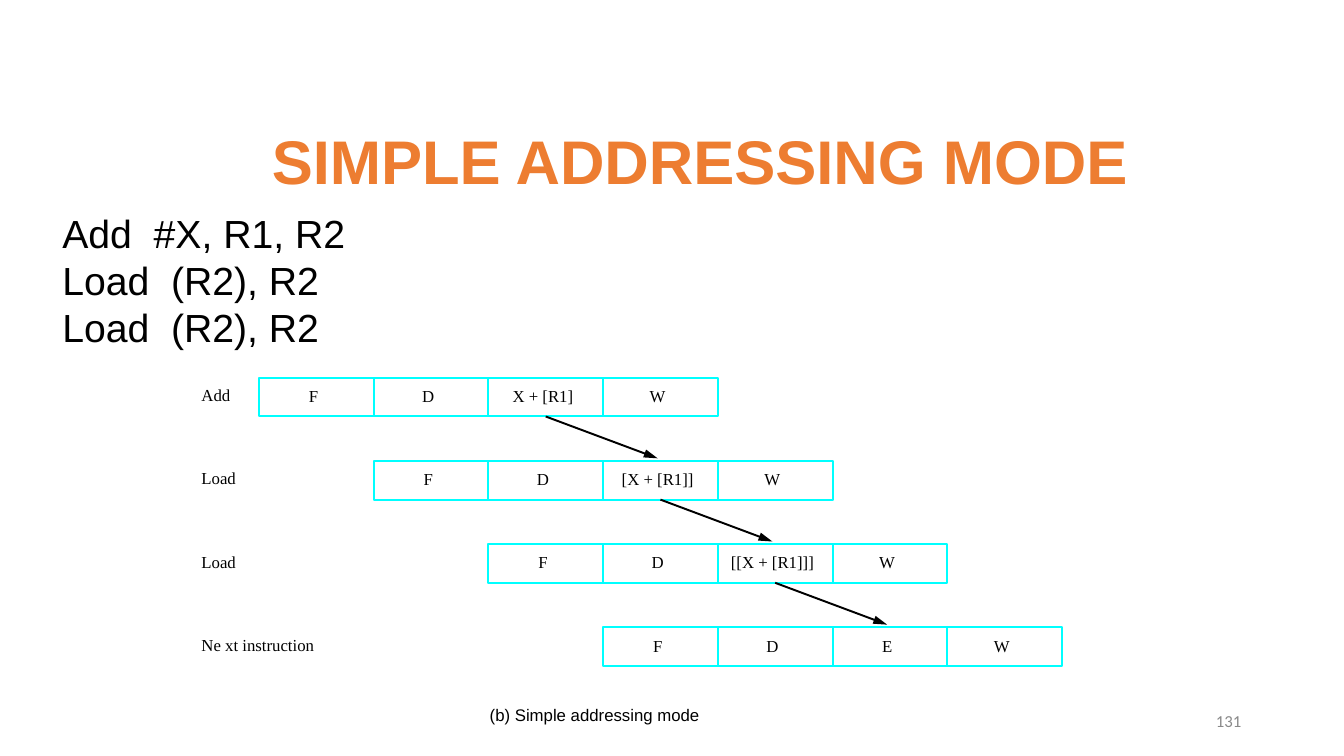
from lxml import etree
from pptx import Presentation
from pptx.dml.color import RGBColor
from pptx.enum.shapes import MSO_CONNECTOR, MSO_SHAPE
from pptx.enum.text import MSO_ANCHOR, PP_ALIGN
from pptx.oxml.ns import qn
from pptx.util import Pt

STRAIGHT = MSO_CONNECTOR.STRAIGHT
RECTANGLE = MSO_SHAPE.RECTANGLE
TOP, MIDDLE = MSO_ANCHOR.TOP, MSO_ANCHOR.MIDDLE
LEFT, CENTER, RIGHT = PP_ALIGN.LEFT, PP_ALIGN.CENTER, PP_ALIGN.RIGHT

ORANGE = RGBColor(0xED, 0x7D, 0x31)
BLACK = RGBColor(0, 0, 0)
GRAY = RGBColor(0x89, 0x89, 0x89)
CYAN = RGBColor(0, 0xFF, 0xFF)

SANS, SERIF, NUMBER_FONT = "Arial", "Times New Roman", "Calibri"

# Pipeline grid: each instruction starts one cycle after the previous one
GRID_LEFT, GRID_TOP = 185, 270
CYCLE_WIDTH, ROW_PITCH, STAGE_HEIGHT = 82, 59.4, 27.5
LABEL_LEFT = 144
LINE_WIDTH = 1.39
EXECUTE = 2  # index of the execute stage

PIPELINE = [
    ("Add", ["F", "D", "X + [R1]", "W"]),
    ("Load", ["F", "D", "[X + [R1]]", "W"]),
    ("Load", ["F", "D", "[[X + [R1]]]", "W"]),
    ("Ne xt instruction", ["F", "D", "E", "W"]),
]


def set_margins(frame, left, top, right, bottom):
    frame.margin_left, frame.margin_top = Pt(left), Pt(top)
    frame.margin_right, frame.margin_bottom = Pt(right), Pt(bottom)


def style_paragraphs(frame, size, font_name, color, bold=False, align=LEFT):
    for paragraph in frame.paragraphs:
        paragraph.alignment = align
        font = paragraph.font
        font.size, font.name, font.bold = Pt(size), font_name, bold
        font.color.rgb = color


def add_text(slide, box, text, size, font_name, color=BLACK, bold=False,
             align=LEFT, anchor=TOP, padded=True):
    frame = slide.shapes.add_textbox(*map(Pt, box)).text_frame
    frame.word_wrap = True
    frame.vertical_anchor = anchor
    if not padded:
        set_margins(frame, 0, 0, 0, 0)
    frame.text = text
    style_paragraphs(frame, size, font_name, color, bold, align)


def add_stage(slide, left, top, text):
    stage = slide.shapes.add_shape(
        RECTANGLE, Pt(left), Pt(top), Pt(CYCLE_WIDTH), Pt(STAGE_HEIGHT))
    stage.shadow.inherit = False
    stage.fill.background()
    stage.line.color.rgb = CYAN
    stage.line.width = Pt(LINE_WIDTH)
    frame = stage.text_frame
    frame.word_wrap = False
    frame.vertical_anchor = MIDDLE
    set_margins(frame, 0, 0, 4, 2)
    frame.text = text
    style_paragraphs(frame, 12, SERIF, BLACK, align=CENTER)


def add_forwarding_arrow(slide, start_x, start_y, end_x, end_y):
    arrow = slide.shapes.add_connector(
        STRAIGHT, Pt(start_x), Pt(start_y), Pt(end_x), Pt(end_y))
    arrow.line.color.rgb = BLACK
    arrow.line.width = Pt(LINE_WIDTH)
    etree.SubElement(arrow.line._get_or_add_ln(), qn("a:tailEnd"),
                     type="triangle", w="med", len="lg")
    etree.SubElement(arrow._element.spPr, qn("a:effectLst"))


def add_pipeline(slide):
    for row, (instruction, stages) in enumerate(PIPELINE):
        top = GRID_TOP + row * ROW_PITCH
        left = GRID_LEFT + row * CYCLE_WIDTH
        add_text(slide, (LABEL_LEFT, top + 5, 100, 14.4), instruction,
                 12, SERIF, padded=False)
        for column, stage in enumerate(stages):
            add_stage(slide, left + column * CYCLE_WIDTH, top, stage)

        # Result forwarded to the execute stage of the next instruction
        if row < len(PIPELINE) - 1:
            execute_center = left + (EXECUTE + 0.5) * CYCLE_WIDTH
            add_forwarding_arrow(
                slide, execute_center, top + STAGE_HEIGHT,
                execute_center + CYCLE_WIDTH - 2, top + ROW_PITCH - 2)


def main():
    prs = Presentation()
    prs.slide_width, prs.slide_height = Pt(960.5), Pt(540)
    slide = prs.slides.add_slide(prs.slide_layouts[6])

    # Title and instruction sequence
    add_text(slide, (187.2, 84.2, 735, 60.5), "SIMPLE ADDRESSING MODE",
             44, SANS, ORANGE, bold=True)
    add_text(slide, (37.5, 146.2, 285, 108),
             "Add  #X, R1, R2\nLoad  (R2), R2\nLoad  (R2), R2", 28, SANS)

    add_pipeline(slide)

    # Caption and page number
    add_text(slide, (350, 503.3, 160, 14.4), "(b) Simple addressing mode",
             12, SANS, padded=False)
    add_text(slide, (678.2, 500.4, 216, 28.8), "131", 12, NUMBER_FONT, GRAY,
             align=RIGHT, anchor=MIDDLE)

    prs.save("out.pptx")


if __name__ == "__main__":
    main()
